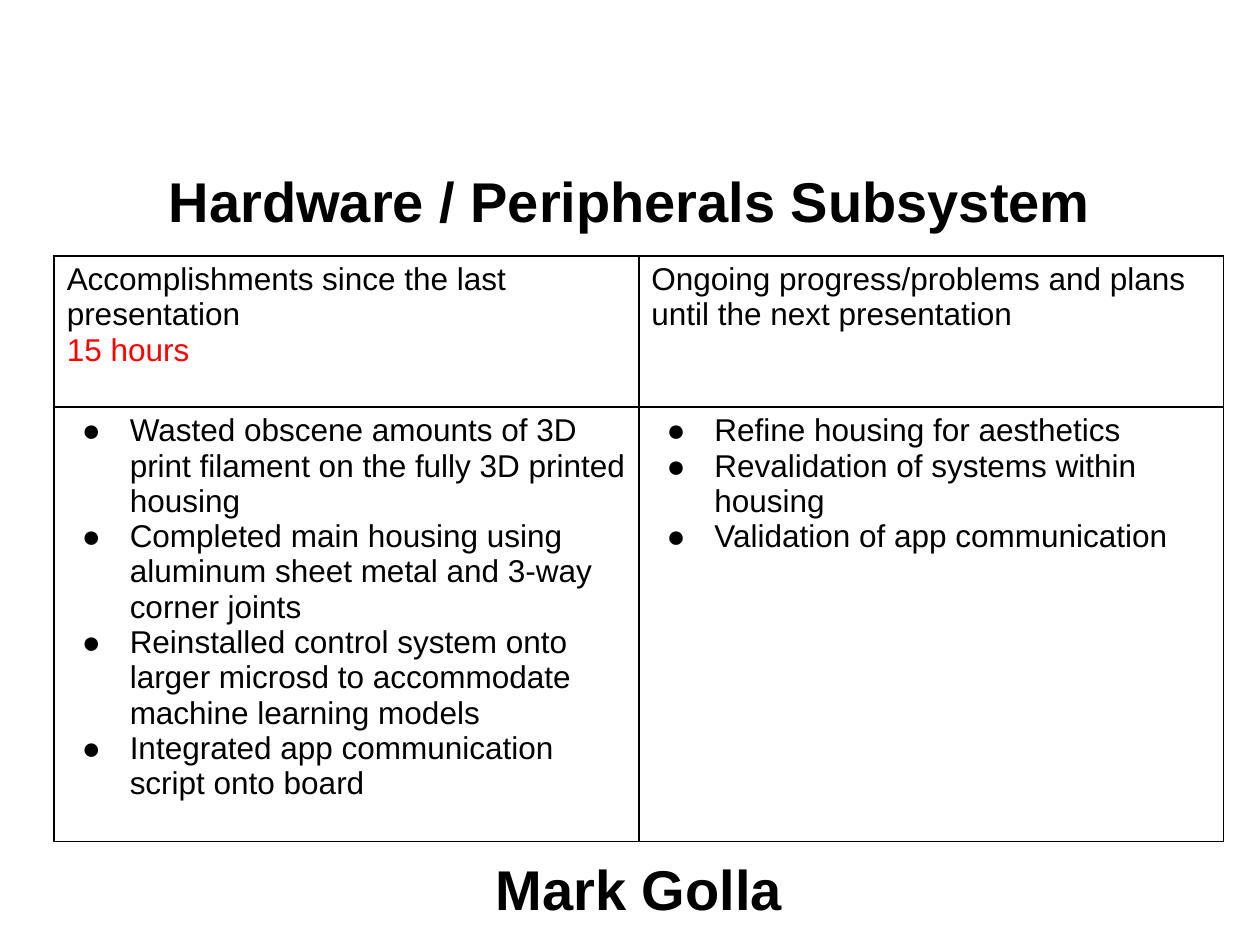
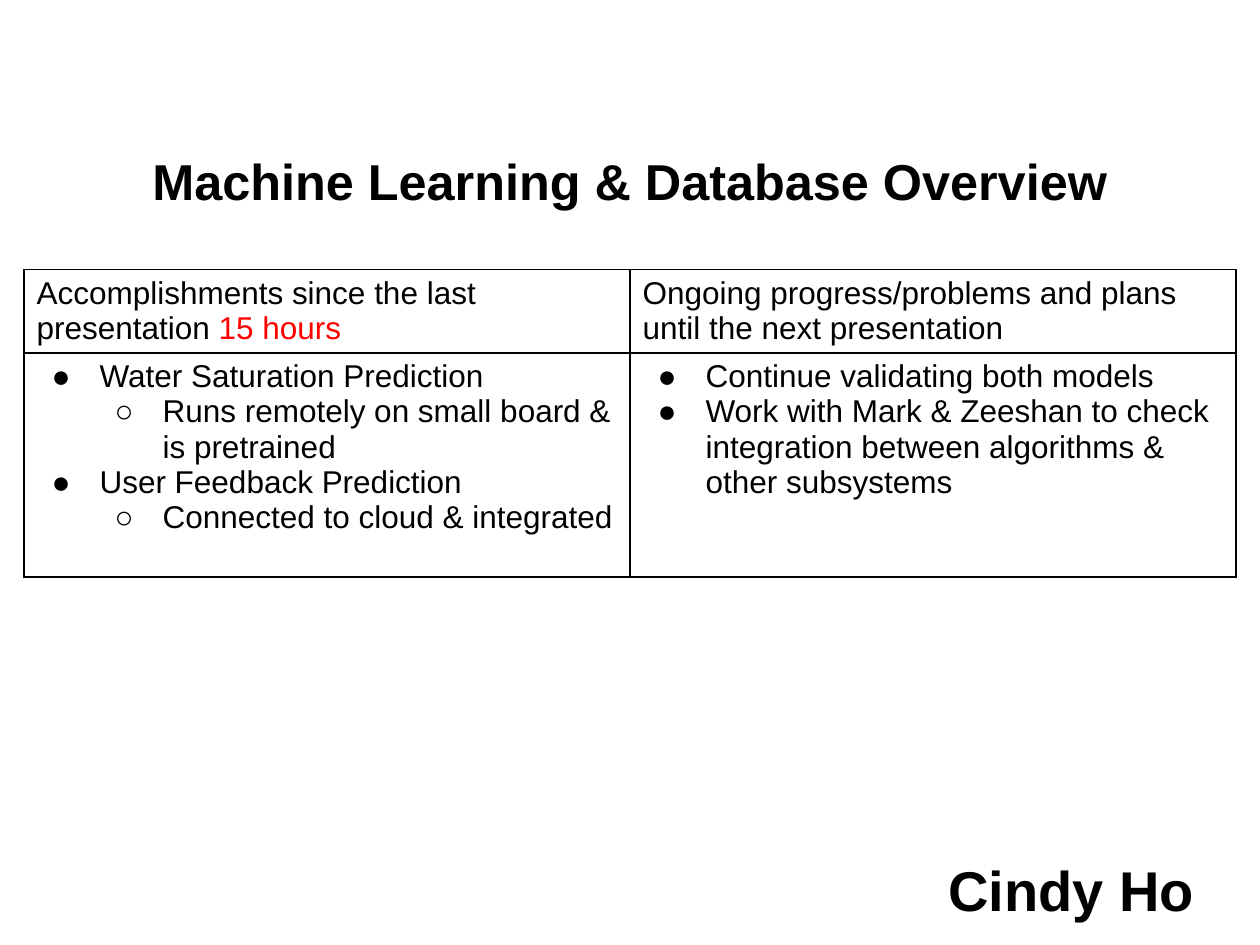
from lxml.etree import SubElement
from pptx import Presentation
from pptx.dml.color import RGBColor
from pptx.enum.text import MSO_ANCHOR, MSO_AUTO_SIZE, PP_ALIGN as Align
from pptx.oxml import parse_xml
from pptx.oxml.ns import nsdecls, qn
from pptx.util import Inches, Pt

COLORS = {"text": "000000", "hours": "FF0000", "border": "000000", "cell": "FFFFFF"}
FONT = "Arial"
BODY_SIZE = 18
HEADING_SIZE = 32
BULLETS = "●○"
TITLE_BOX = (0.5, 1.15, 9, 0.88)
ACCOMPLISHMENTS = "Accomplishments since the last presentation"
PLANS = "Ongoing progress/problems and plans until the next presentation"
HOURS = "15 hours"


def style_run(run, size, color="text", bold=False):
    run.font.name = FONT
    run.font.size = Pt(size)
    run.font.bold = bold
    run.font.color.rgb = RGBColor.from_string(COLORS[color])


def format_heading(shape, box, text, size=HEADING_SIZE, align=Align.CENTER, bottom=0.05):
    """Bold one-line heading, used for the slide title and the presenter."""
    shape.left, shape.top, shape.width, shape.height = map(Inches, box)
    frame = shape.text_frame
    frame.text = text
    frame.word_wrap = True
    frame.auto_size = MSO_AUTO_SIZE.NONE
    frame.vertical_anchor = MSO_ANCHOR.MIDDLE
    frame.margin_bottom = Inches(bottom)
    paragraph = frame.paragraphs[0]
    paragraph.alignment = align
    style_run(paragraph.runs[0], size, bold=True)


def add_bullet(paragraph, level):
    properties = paragraph._p.get_or_add_pPr()
    properties.set("marL", str(Inches(0.5 * (level + 1))))
    properties.set("indent", str(Inches(-0.38)))
    bullet_color = SubElement(properties, qn("a:buClr"))
    SubElement(bullet_color, qn("a:srgbClr"), val=COLORS["text"])
    SubElement(properties, qn("a:buFont"), typeface=FONT)
    SubElement(properties, qn("a:buChar"), char=BULLETS[level])


def format_cell(cell):
    cell.fill.solid()
    cell.fill.fore_color.rgb = RGBColor.from_string(COLORS["cell"])
    # Border lines come before the fill
    for position, side in enumerate(("lnL", "lnR", "lnT", "lnB")):
        line = parse_xml(
            f'<a:{side} {nsdecls("a")} w="{Pt(1)}"><a:solidFill>'
            f'<a:srgbClr val="{COLORS["border"]}"/></a:solidFill></a:{side}>')
        cell._tc.get_or_add_tcPr().insert(position, line)


def fill_header(cell, paragraphs):
    """Each paragraph is a list of (text, color) runs."""
    frame = cell.text_frame
    for index, runs in enumerate(paragraphs):
        paragraph = frame.add_paragraph() if index else frame.paragraphs[0]
        for text, color in runs:
            run = paragraph.add_run()
            run.text = text
            style_run(run, BODY_SIZE, color)


def fill_bullets(cell, items):
    """Each item is a (level, text) pair."""
    cell.text_frame.text = "\n".join(text for _, text in items)
    for paragraph, (level, _) in zip(cell.text_frame.paragraphs, items):
        paragraph.level = level
        add_bullet(paragraph, level)
        style_run(paragraph.runs[0], BODY_SIZE)


def add_status_table(slide, box, header_height, headers, columns):
    left, top, width, height = box
    table = slide.shapes.add_table(2, 2, *map(Inches, box)).table
    table.first_row = table.horz_banding = False
    table.rows[0].height = Inches(header_height)
    table.rows[1].height = Inches(height - header_height)
    for index, (header, items) in enumerate(zip(headers, columns)):
        table.columns[index].width = Inches(width / 2)
        fill_header(table.cell(0, index), header)
        fill_bullets(table.cell(1, index), items)
        for row in range(2):
            format_cell(table.cell(row, index))


def add_status_slide(presentation, title, table, presenter):
    slide = presentation.slides.add_slide(presentation.slide_layouts[5])
    format_heading(slide.shapes.title, TITLE_BOX, **title)
    add_status_table(slide, **table)
    presenter_box = slide.shapes.add_textbox(0, 0, 0, 0)
    format_heading(presenter_box, **presenter)


def main():
    presentation = Presentation()
    presentation.slide_width = Inches(10)
    presentation.slide_height = Inches(7.5)
    plans_header = [[(PLANS, "text")]]

    # Hardware status
    add_status_slide(
        presentation,
        title={"text": "Hardware / Peripherals Subsystem"},
        table={
            "box": (0.43, 2.03, 9.28, 4.65),
            "header_height": 1.2,
            "headers": [[[(ACCOMPLISHMENTS, "text")], [(HOURS, "hours")]], plans_header[0:1][0:1]],
            "columns": [
                [(0, "Wasted obscene amounts of 3D print filament on the fully 3D printed housing"),
                 (0, "Completed main housing using aluminum sheet metal and 3-way corner joints"),
                 (0, "Reinstalled control system onto larger microsd to accommodate "
                     "machine learning models"),
                 (0, "Integrated app communication script onto board")],
                [(0, "Refine housing for aesthetics"),
                 (0, "Revalidation of systems within housing"),
                 (0, "Validation of app communication")],
            ],
        },
        presenter={"box": (0.57, 6.61, 9, 0.88), "text": "Mark Golla"},
    )

    # Machine learning status
    add_status_slide(
        presentation,
        title={"text": "Machine Learning & Database Overview", "size": 28.8, "bottom": 0.37},
        table={
            "box": (0.19, 2.14, 9.62, 2.44),
            "header_height": 0.66,
            "headers": [[[(ACCOMPLISHMENTS + " ", "text"), (HOURS, "hours")]], plans_header],
            "columns": [
                [(0, "Water Saturation Prediction"),
                 (1, "Runs remotely on small board & is pretrained"),
                 (0, "User Feedback Prediction"),
                 (1, "Connected to cloud & integrated")],
                [(0, "Continue validating both models"),
                 (0, "Work with Mark & Zeeshan to check integration between algorithms "
                     "& other subsystems")],
            ],
        },
        presenter={"box": (0.58, 6.62, 9, 0.88), "text": "Cindy Ho", "align": Align.RIGHT},
    )

    presentation.save("out.pptx")


if __name__ == "__main__":
    main()
